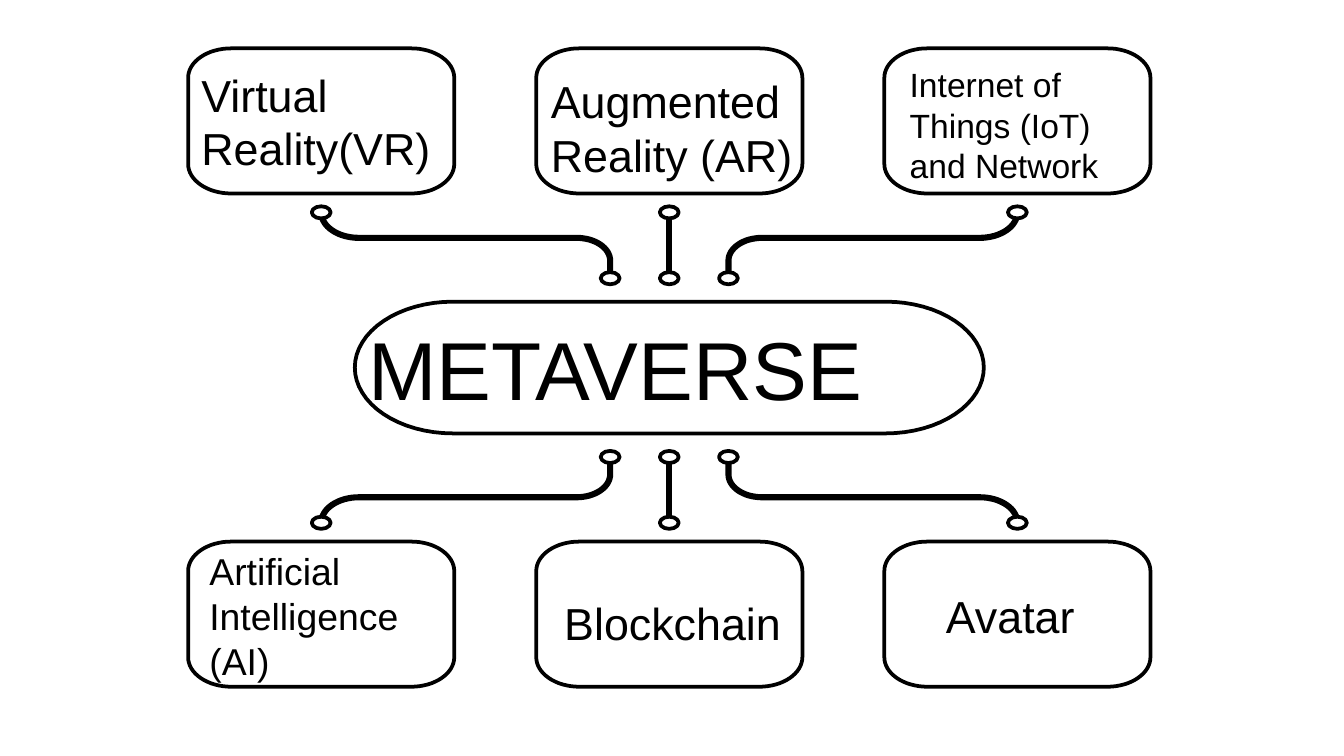
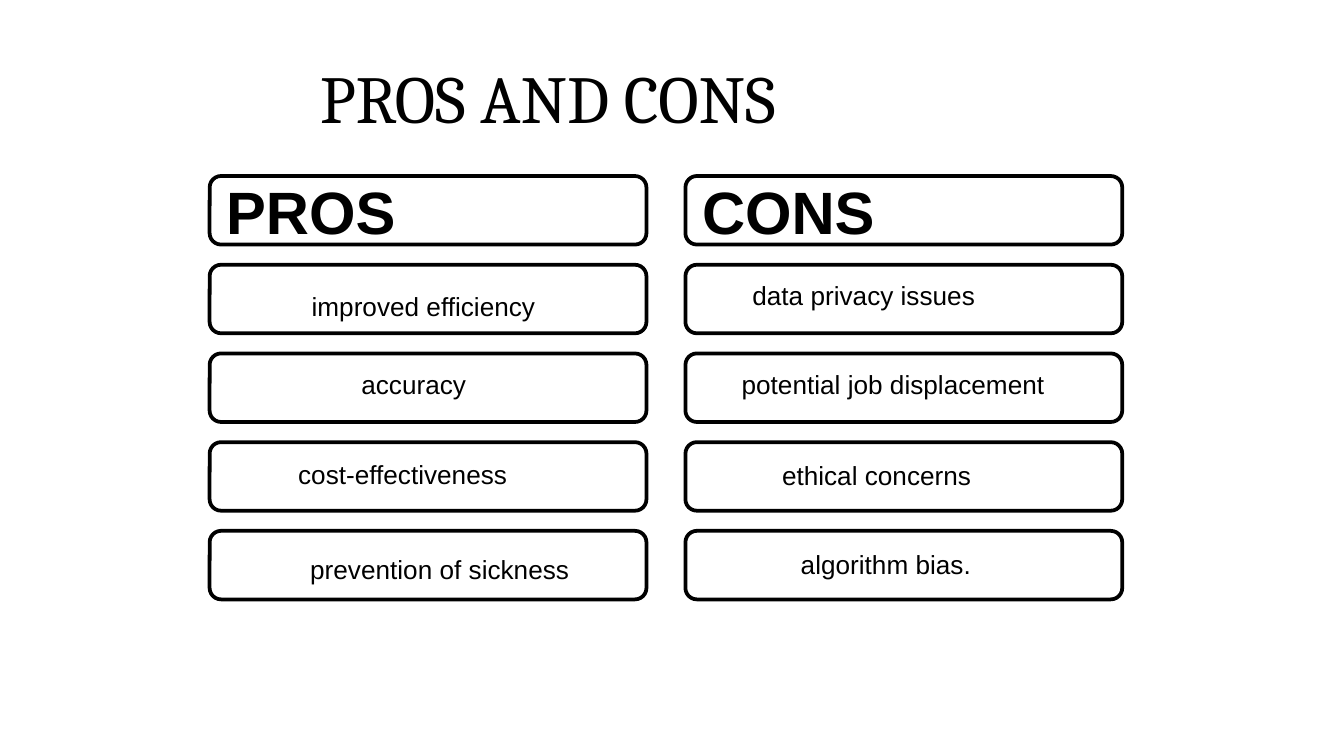
from math import cos, radians, sin

from pptx import Presentation
from pptx.dml.color import RGBColor
from pptx.enum.shapes import MSO_CONNECTOR, MSO_SHAPE
from pptx.enum.text import MSO_ANCHOR, MSO_AUTO_SIZE, PP_ALIGN
from pptx.oxml.ns import qn
from pptx.util import Inches, Pt
from lxml.etree import SubElement

# Shared style
SLIDE_WIDTH = Inches(10)
SLIDE_HEIGHT = SLIDE_WIDTH * 9 // 16
BLACK = RGBColor(0, 0, 0)
WHITE = RGBColor(255, 255, 255)
BODY_FONT, TITLE_FONT = "Arial", "Cambria"
OUTLINE, LINK = 2, 3.25

# Slide 1: label, size, and text box (None puts the text in the node itself)
HUB = "METAVERSE"
TECHNOLOGIES = [
    [("Virtual Reality(VR)", 24, None),
     ("Augmented Reality (AR)", 24, (4, 0.5, 2.02, 0.91)),
     ("Internet of Things (IoT) and Network", 18, (6.67, 0.43, 1.98, 1.01))],
    [("Artificial Intelligence (AI)", 20, (1.46, 4.03, 1.9, 1.11)),
     ("Blockchain", 24, (4.1, 4.38, 1.83, 0.5)),
     ("Avatar", 24, (6.94, 4.33, 1.17, 0.5))],
]
NODE_W, NODE_H, NODE_PITCH = 1.98, 1.08, 2.59
NODE_TOP, NODE_BOTTOM = 0.36, 5.11
CENTER_X, CENTER_Y = 4.98, (NODE_TOP + NODE_BOTTOM) / 2
HUB_W, HUB_H = 4.68, 0.98
RING_W, RING_H = 0.14, 0.09
LINK_TOP, LINK_BEND, LINK_BOTTOM = 1.58, 1.77, 2.07
HUB_PORT = 0.44

# Slide 2: heading, then text with its left, top and width
TITLE = "PROS AND CONS"
COLUMNS = [
    ("PROS", [("improved efficiency", 2.22, 2.11, 1.88),
              ("accuracy", 2.59, 2.69, 0.99),
              ("cost-effectiveness", 2.12, 3.36, 1.77),
              ("prevention of sickness", 2.21, 4.07, 2.14)]),
    ("CONS", [("data privacy issues", 5.5, 2.03, 1.87),
              ("potential job displacement", 5.42, 2.69, 2.47),
              ("ethical concerns", 5.72, 3.37, 1.62),
              ("algorithm bias.", 5.86, 4.03, 1.47)]),
]
CELL_LEFT, CELL_TOP, CELL_W, CELL_H = 1.56, 1.31, 3.25, 0.51
COLUMN_PITCH, ROW_PITCH = 3.54, 0.66


def inches(values):
    return [Inches(value) for value in values]


def set_text(shape, text, size, font=BODY_FONT, bold=False):
    shape.text_frame.text = text
    paragraph = shape.text_frame.paragraphs[0]
    paragraph.alignment = PP_ALIGN.LEFT
    run_font = paragraph.runs[0].font
    run_font.name, run_font.size, run_font.bold = font, Pt(size), bold
    run_font.color.rgb = BLACK


def pad(shape, anchor=MSO_ANCHOR.MIDDLE):
    frame = shape.text_frame
    frame.margin_left = frame.margin_right = Inches(0.1)
    frame.margin_top = frame.margin_bottom = Inches(0.1)
    frame.vertical_anchor = anchor
    frame.word_wrap = True


def outline(shape):
    shape.shadow.inherit = False
    shape.fill.solid()
    shape.fill.fore_color.rgb = WHITE
    shape.line.color.rgb = BLACK
    shape.line.width = Pt(OUTLINE)
    return shape


def add_label(slide, text, size, box, wrap):
    label = slide.shapes.add_textbox(*inches(box))
    label.text_frame.word_wrap = wrap
    label.text_frame.auto_size = MSO_AUTO_SIZE.SHAPE_TO_FIT_TEXT
    set_text(label, text, size)


def arc(center_x, center_y, radius_x, radius_y, start, sweep, steps=16):
    """Points on part of an ellipse; angles in degrees, clockwise from the right."""
    angles = [radians(start + sweep * step / steps) for step in range(steps + 1)]
    return [(center_x + radius_x * cos(angle), center_y + radius_y * sin(angle))
            for angle in angles]


def add_path(slide, points, close):
    start, *rest = [inches(point) for point in points]
    builder = slide.shapes.build_freeform(*start)
    builder.add_line_segments(rest, close=close)
    return builder.convert_to_shape()


def add_rounded(slide, center_x, center_y, width, height, radius_x, radius_y):
    dx, dy = width / 2 - radius_x, height / 2 - radius_y
    corners = [(1, 1), (-1, 1), (-1, -1), (1, -1)]
    points = [point for index, (side_x, side_y) in enumerate(corners)
              for point in arc(center_x + side_x * dx, center_y + side_y * dy,
                               radius_x, radius_y, 90 * index, 90)]
    return outline(add_path(slide, points, True))


def add_link(slide, side_x, side_y):
    """Link a node to the hub; side_x and side_y mirror the upper right link."""
    def place(x, y):
        return CENTER_X + side_x * x, CENTER_Y + side_y * (y - CENTER_Y)

    ends = [place(NODE_PITCH, LINK_TOP), place(HUB_PORT, LINK_BOTTOM)]
    if side_x:
        bends = arc(NODE_PITCH - 0.28, LINK_TOP, 0.28, LINK_BEND - LINK_TOP, 0, 90)
        bends += arc(HUB_PORT + 0.25, LINK_BEND + 0.17, 0.25, 0.17, 270, -90)
        points = [place(x, y) for x, y in bends] + [ends[1]]
        link = add_path(slide, points, False)
        link.fill.background()
        link.shadow.inherit = False
    else:
        link = slide.shapes.add_connector(
            MSO_CONNECTOR.STRAIGHT, *inches(ends[0] + ends[1]))
        SubElement(link._element.spPr, qn("a:effectLst"))
    link.line.color.rgb = BLACK
    link.line.width = Pt(LINK)
    for x, y in ends:
        outline(slide.shapes.add_shape(
            MSO_SHAPE.OVAL,
            *inches((x - RING_W / 2, y - RING_H / 2, RING_W, RING_H))))


def build_map(presentation):
    slide = presentation.slides.add_slide(presentation.slide_layouts[6])
    hub = add_rounded(slide, CENTER_X, CENTER_Y, HUB_W, HUB_H, 0.73, HUB_H / 2)
    pad(hub)
    set_text(hub, HUB, 44)

    # Nodes above and below the hub, with their links
    node_offset = CENTER_Y - NODE_TOP - NODE_H / 2
    for side_y, row in zip((1, -1), TECHNOLOGIES):
        for side_x, (text, size, box) in zip((-1, 0, 1), row):
            add_link(slide, side_x, side_y)
            node = add_rounded(slide, CENTER_X + side_x * NODE_PITCH,
                               CENTER_Y - side_y * node_offset,
                               NODE_W, NODE_H, 0.32, 0.22)
            if box:
                add_label(slide, text, size, box, wrap=" " in text)
            else:
                pad(node)
                set_text(node, text, size)


def build_comparison(presentation):
    slide = presentation.slides.add_slide(presentation.slide_layouts[5])
    title = slide.shapes.title
    title.left, title.top, title.width, title.height = inches((2.28, 0.32, 5.26, 0.92))
    pad(title, MSO_ANCHOR.TOP)
    set_text(title, TITLE, 36, TITLE_FONT)

    # Two columns: a heading cell over one cell per point
    for column, (heading, points) in enumerate(COLUMNS):
        left = CELL_LEFT + column * COLUMN_PITCH
        cells = [outline(slide.shapes.add_shape(
            MSO_SHAPE.FLOWCHART_ALTERNATE_PROCESS,
            *inches((left, CELL_TOP + row * ROW_PITCH, CELL_W, CELL_H))))
            for row in range(len(points) + 1)]
        pad(cells[0])
        set_text(cells[0], heading, 32, bold=True)
        for text, text_left, top, width in points:
            add_label(slide, text, 14, (text_left, top, width, 0.34), wrap=False)


def main():
    presentation = Presentation()
    presentation.slide_width, presentation.slide_height = SLIDE_WIDTH, SLIDE_HEIGHT
    build_map(presentation)
    build_comparison(presentation)
    presentation.save("out.pptx")


if __name__ == "__main__":
    main()
